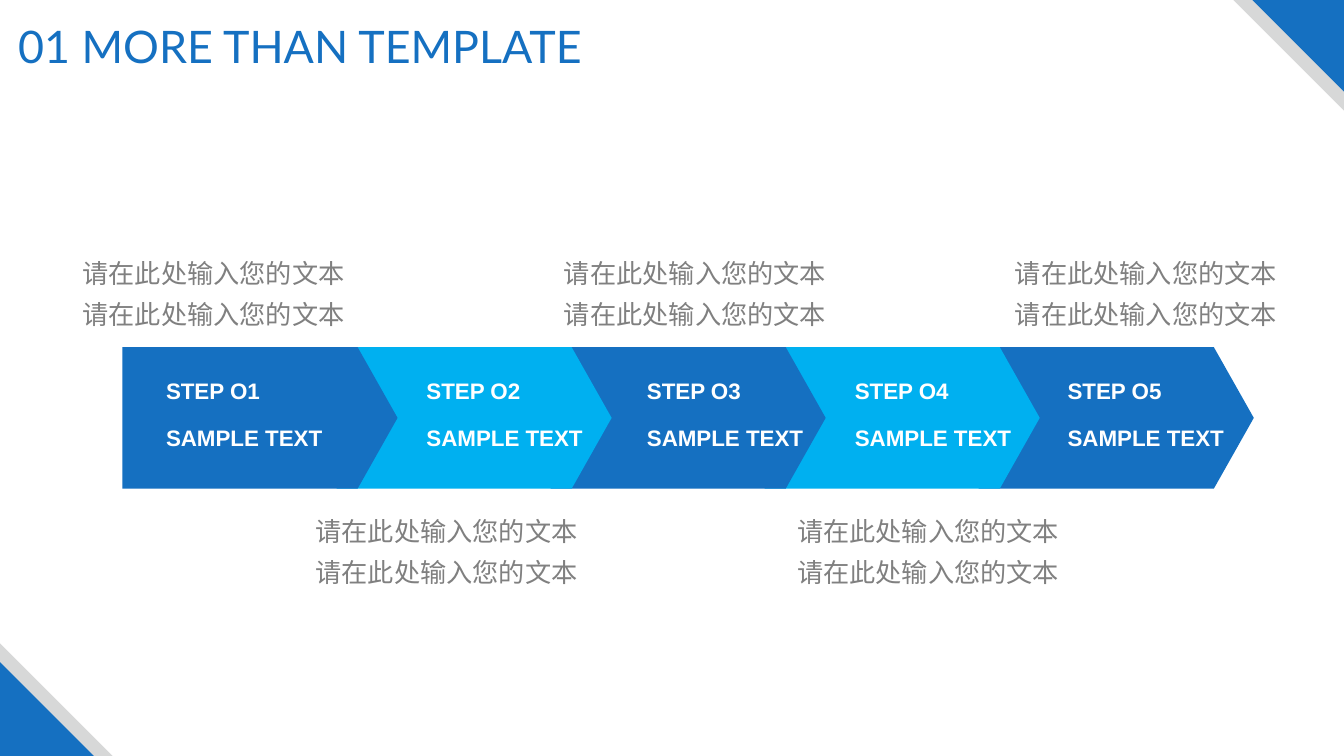
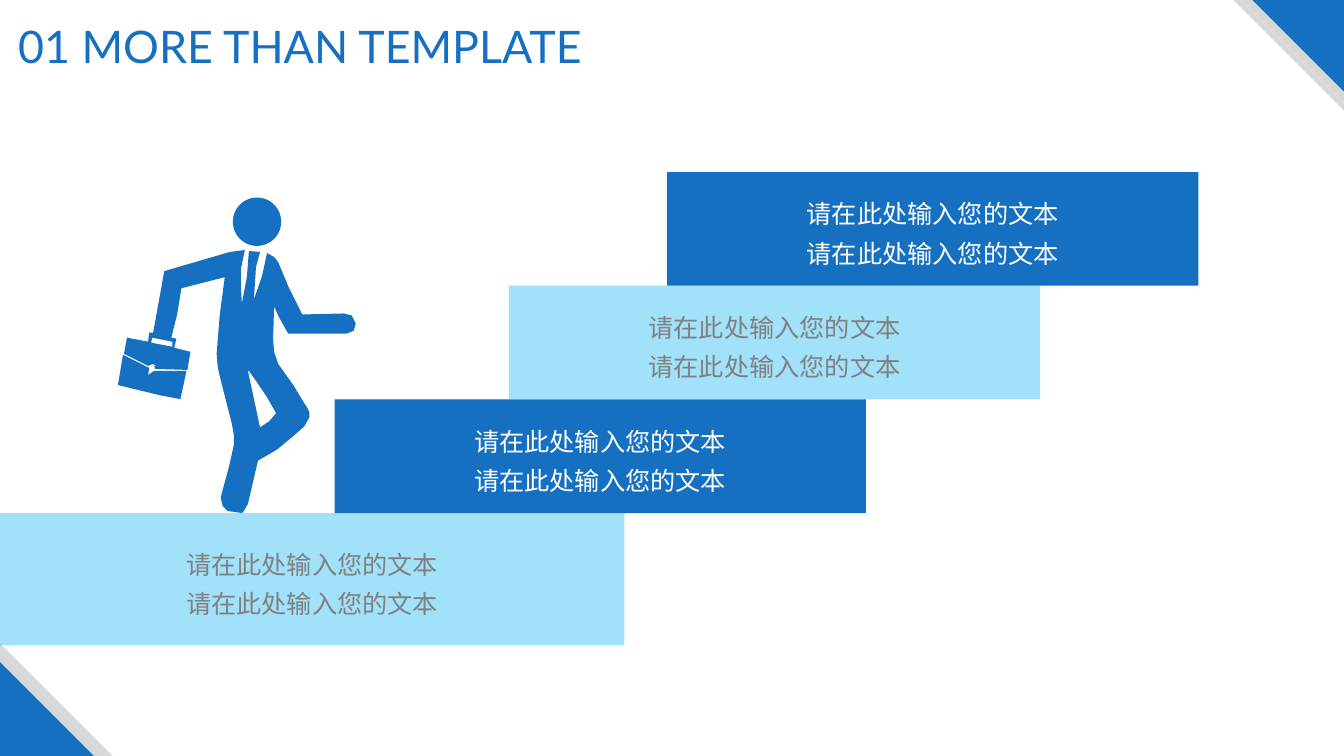
from lxml import etree
from pptx import Presentation
from pptx import util as u
from pptx.dml.color import RGBColor
from pptx.enum import shapes, text
from pptx.oxml.ns import qn

Pt = u.Pt
WIDTH, HEIGHT = 960, 540
COLORS = {"blue": "1570C1", "sky": "00B0F0", "silver": "D7D8D8",
          "gray": "808080", "white": "FFFFFF"}
LATIN, CJK, TITLE_FONT = "Arial", "Noto Sans CJK SC", "Lato"
RECT = shapes.MSO_SHAPE.RECTANGLE

# Shared content
TITLE = "01 MORE THAN TEMPLATE"
PROMPT = ["请在此处输入您的文本"] * 2
CORNERS = [("top right", 79, "silver"), ("top right", 65.5, "blue"),
           ("bottom left", 80.5, "silver"), ("bottom left", 67, "blue")]

# Process slide: label, label left, caption left
STEPS = [("STEP O1", 111.5, 47.5), ("STEP O2", 297.5, 214),
         ("STEP O3", 455, 391.5), ("STEP O4", 603.5, 558),
         ("STEP O5", 755.5, 713.5)]
STEP_NOTE = "SAMPLE TEXT"
ARROW_LEFT, ARROW_TOP, ARROW_PITCH = 87.5, 248, 152.9
ARROW_WIDTH, ARROW_HEIGHT, ARROW_TIP = 196.5, 101, 28.5
CAPTION_TOPS = (173.5, 358)

# Stairs slide, from the lowest stair up: left, width, height
STAIRS = [(0, 446, 94.5), (239, 379.5, 81.2),
          (363.5, 379.5, 81.2), (476.5, 379.5, 81.2)]
STAIRS_BOTTOM = 461

# Walking figure, drawn on a grid of 0.72 pt
GRID = 0.72
HEAD = (231, 196, 48)
BODY = [
    [(228, 250), (243, 248), (239, 267), (239, 284), (240, 301), (245, 275),
     (247, 249), (258, 250), (254, 265), (252, 297), (260, 274), (265, 251),
     (272, 255), (276, 260), (286, 284), (300, 312), (341, 311), (349, 313),
     (353, 321), (351, 328), (344, 331), (286, 331), (277, 315), (272, 304),
     (271, 336), (272, 349), (276, 361), (291, 382), (305, 405), (307, 409),
     (307, 414), (302, 423), (293, 431), (275, 446), (256, 457), (246, 500),
     (242, 507), (240, 509), (226, 507), (221, 502), (219, 494), (221, 486),
     (227, 464), (232, 442), (232, 431), (230, 420), (219, 377), (216, 364),
     (215, 351), (218, 313), (223, 275), (180, 286), (176, 311), (170, 335),
     (175, 336), (173, 345), (189, 349), (186, 367), (154, 366), (153, 363),
     (156, 364), (152, 361), (147, 363), (123, 351), (126, 335), (147, 339),
     (148, 330), (152, 330), (163, 269)],
    [(150, 340), (171, 344), (171, 339), (151, 335)],
    [(246, 368), (258, 424), (267, 418), (274, 410), (265, 394), (252, 375),
     (247, 368)],
]
BRIEFCASE = [[(122, 352), (148, 365), (147, 372), (153, 368), (185, 368),
              (179, 396), (158, 392), (117, 382)]]


def paint(shape, color, alpha=None):
    shape.shadow.inherit = False
    shape.line.fill.background()
    shape.fill.solid()
    shape.fill.fore_color.rgb = RGBColor.from_string(COLORS[color])
    if alpha:
        tint = shape.fill._xPr.find(qn("a:solidFill"))[0]
        etree.SubElement(tint, qn("a:alpha")).set("val", str(alpha * 1000))


def add_block(page, kind, left, top, width, height, color, alpha=None):
    block = page.shapes.add_shape(kind, Pt(left), Pt(top), Pt(width), Pt(height))
    paint(block, color, alpha)
    return block


def write(shape, lines, font, size, color, centered=True, bold=False,
          spacing=None, gap=0):
    frame = shape.text_frame
    frame.word_wrap = True
    frame.text = "\n".join(lines)
    for index, para in enumerate(frame.paragraphs):
        align = text.PP_ALIGN
        para.alignment = align.CENTER if centered else align.LEFT
        if spacing:
            para.line_spacing = spacing
        if index and gap:
            para.space_before = Pt(gap)
        for span in para.runs:
            span.font.size, span.font.bold = Pt(size), bold
            span.font.name = font
            span.font.color.rgb = RGBColor.from_string(COLORS[color])
            props = span._r.get_or_add_rPr()
            etree.SubElement(props, qn("a:ea")).set("typeface", font)


def add_text(page, left, top, width, height, *args, **kwargs):
    box = page.shapes.add_textbox(Pt(left), Pt(top), Pt(width), Pt(height))
    write(box, *args, **kwargs)


def add_outline(page, contours, color):
    builder = None
    for contour in contours:
        points = [(Pt(x * GRID), Pt(y * GRID)) for x, y in contour]
        if builder is None:
            builder = page.shapes.build_freeform(*points[0], scale=1.0)
        else:
            builder.move_to(*points[0])
        builder.add_line_segments(points[1:], close=True)
    paint(builder.convert_to_shape(), color)


def add_page(deck):
    page = deck.slides.add_slide(deck.slide_layouts[6])
    for corner, size, color in CORNERS:
        on_top = corner == "top right"
        left, top = (WIDTH - size, 0) if on_top else (0, HEIGHT - size)
        triangle = add_block(page, shapes.MSO_SHAPE.RIGHT_TRIANGLE,
                             left, top, size, size, color)
        triangle.rotation = 180 if on_top else 0
    add_text(page, 1.5, 9.5, 426, 46, [TITLE], TITLE_FONT, 32, "blue")
    return page


def build_process(deck):
    page = add_page(deck)
    # Each arrow overlaps the next one, so the last is drawn first
    for index, (label, label_left, caption_left) in reversed(list(enumerate(STEPS))):
        arrow = add_block(page, shapes.MSO_SHAPE.PENTAGON,
                          ARROW_LEFT + index * ARROW_PITCH, ARROW_TOP,
                          ARROW_WIDTH, ARROW_HEIGHT, ("blue", "sky")[index % 2])
        arrow.adjustments[0] = ARROW_TIP / ARROW_HEIGHT
        add_text(page, label_left, 266, 132, 59, [label, STEP_NOTE], LATIN, 16,
                 "white", centered=False, bold=True, gap=14)
        add_text(page, caption_left, CAPTION_TOPS[index % 2], 210, 66, PROMPT,
                 CJK, 18.7, "gray", spacing=1.3)


def build_stairs(deck):
    page = add_page(deck)
    # Walking figure
    add_outline(page, BODY, "blue")
    add_outline(page, BRIEFCASE, "blue")
    left, top, size = (value * GRID for value in HEAD)
    add_block(page, shapes.MSO_SHAPE.OVAL, left, top, size, size, "blue")
    # Stairs
    top = STAIRS_BOTTOM
    for index, (left, width, height) in enumerate(STAIRS):
        top -= height
        color, alpha, ink = (("sky", 37, "gray"), ("blue", None, "white"))[index % 2]
        stair = add_block(page, RECT, left, top, width, height, color, alpha)
        write(stair, PROMPT, CJK, 18, ink, spacing=1.3)
        stair.text_frame.vertical_anchor = text.MSO_ANCHOR.MIDDLE


def main():
    deck = Presentation()
    deck.slide_width, deck.slide_height = Pt(WIDTH), Pt(HEIGHT)
    build_process(deck)
    build_stairs(deck)
    deck.save("out.pptx")


if __name__ == "__main__":
    main()
